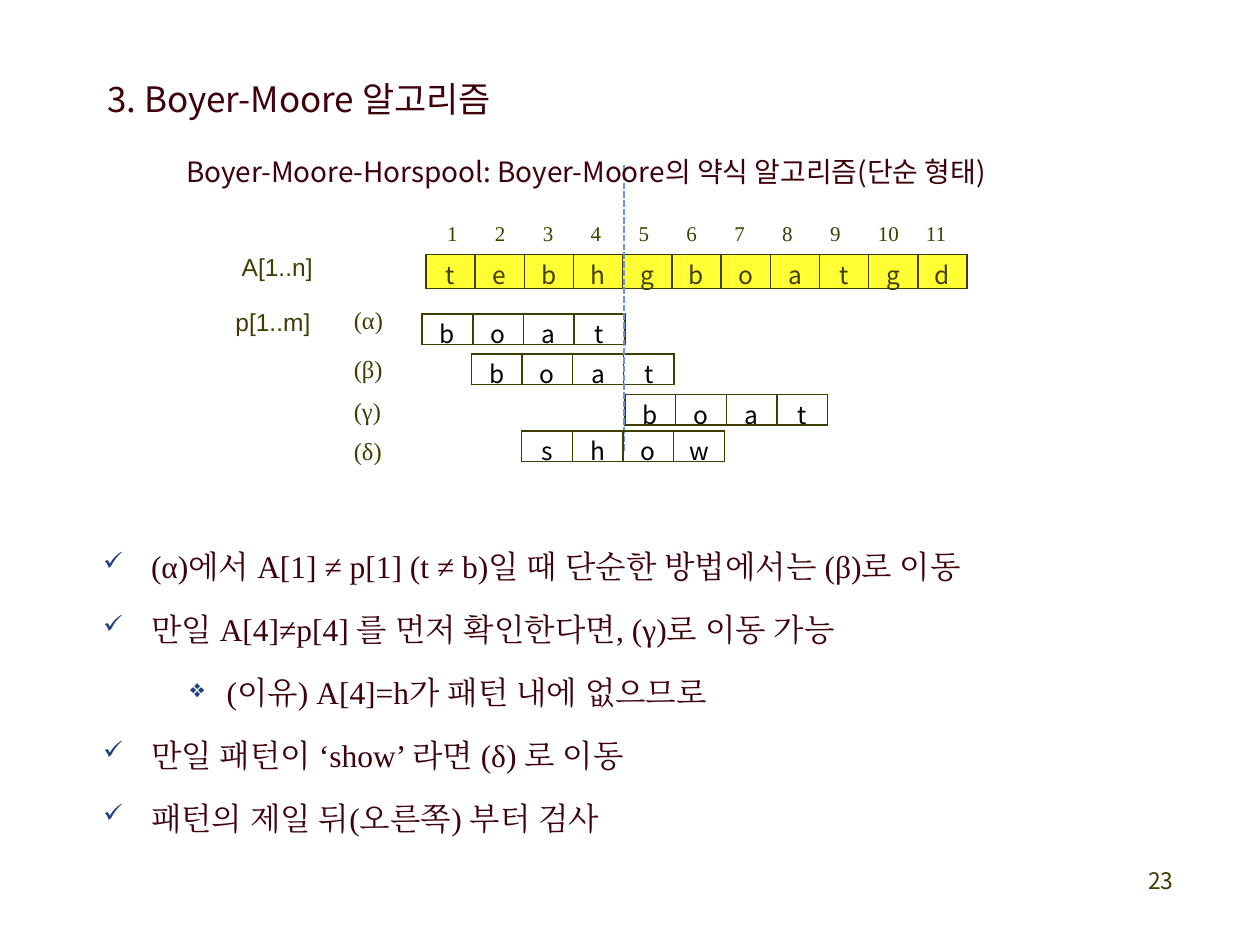
from dataclasses import dataclass

from lxml import etree
from pptx import Presentation
from pptx import util as u
from pptx.dml.color import RGBColor
from pptx.enum import dml, shapes, text
from pptx.oxml import ns


@dataclass(frozen=True)
class Theme:
    wine: str = "3E020C"
    olive: str = "3F3E00"
    black: str = "000000"
    navy: str = "1F407F"
    blue: str = "7094DC"
    yellow: str = "FFFF33"
    sans: str = "Noto Sans CJK KR"
    serif: str = "Times New Roman"
    plain: str = "Arial"
    title: int = 20
    body: int = 18
    lead: int = 16
    label: int = 14
    page: int = 13
    index: int = 12


T = Theme()
POINTS = [
    ("✓", "(α)에서 A[1] ≠ p[1] (t ≠ b)일 때 단순한 방법에서는 (β)로 이동"),
    ("✓", "만일 A[4]≠p[4] 를 먼저 확인한다면, (γ)로 이동 가능"),
    ("❖", "(이유) A[4]=h가 패턴 내에 없으므로"),
    ("✓", "만일 패턴이 ‘show’ 라면 (δ) 로 이동"),
    ("✓", "패턴의 제일 뒤(오른쪽) 부터 검사"),
]
INDENTS = {"✓": (0.38, -0.38), "❖": (0.98, -0.29)}


def add(parent, tag, **attrs):
    node = etree.SubElement(parent, ns.qn(tag))
    for key, value in attrs.items():
        node.set(key, str(value))
    return node


def style(para, size, font, color, align=text.PP_ALIGN.LEFT):
    para.alignment = align
    for run in para.runs:
        run.font.size = u.Pt(size)
        run.font.name = font
        run.font.color.rgb = RGBColor.from_string(color)
        add(run.font._element, "a:ea", typeface=font)


def place(shape, left, top, width, height):
    shape.left, shape.top = u.Inches(left), u.Inches(top)
    shape.width, shape.height = u.Inches(width), u.Inches(height)


def write(shape, words, size, font, color, wrap=False, lines=0.9,
          align=text.PP_ALIGN.LEFT):
    frame = shape.text_frame
    frame.text = words
    frame.word_wrap = wrap
    frame.auto_size = text.MSO_AUTO_SIZE.SHAPE_TO_FIT_TEXT
    frame.vertical_anchor = text.MSO_ANCHOR.TOP
    for para in frame.paragraphs:
        para.line_spacing = lines
        para.space_before = u.Pt(size * 0.2)
        style(para, size, font, color, align)
    return frame


def add_text(slide, box, words, size, font, color, **opts):
    shape = slide.shapes.add_textbox(*map(u.Inches, box))
    return write(shape, words, size, font, color, **opts)


def add_index(slide):
    words = "\t".join(str(n) for n in range(1, 12))
    frame = add_text(slide, (3.45, 1.72, 4.54, 0.28), words,
                     T.index, T.serif, T.olive, wrap=True)
    props = frame.paragraphs[0]._p.get_or_add_pPr()
    tabs = add(props, "a:tabLst")
    for n in range(1, 11):
        add(tabs, "a:tab", pos=u.Inches(0.38 * n), algn="l")


def add_border(cell):
    props = cell._tc.get_or_add_tcPr()
    for n, side in enumerate(("a:lnL", "a:lnR", "a:lnT", "a:lnB")):
        line = etree.Element(ns.qn(side), w=str(u.Pt(1)))
        add(add(line, "a:solidFill"), "a:srgbClr", val=T.olive)
        props.insert(n, line)


def add_word(slide, word, left, top, width, height, color, fill=None):
    frame = slide.shapes.add_table(
        1, len(word), *map(u.Inches, (left, top, width, height)))
    table = frame.table
    table.first_row = table.horz_banding = False
    for col, letter in enumerate(word):
        table.columns[col].width = u.Inches(width / len(word))
        cell = table.cell(0, col)
        cell.text = letter
        cell.vertical_anchor = text.MSO_ANCHOR.MIDDLE
        cell.margin_left = cell.margin_right = u.Inches(0.01)
        cell.margin_top, cell.margin_bottom = u.Inches(0.01), 0
        style(cell.text_frame.paragraphs[0], T.label, T.sans, color,
              text.PP_ALIGN.CENTER)
        if fill:
            cell.fill.solid()
            cell.fill.fore_color.rgb = RGBColor.from_string(fill)
        else:
            cell.fill.background()
        add_border(cell)


def add_shift(slide, mark, word, left, top, base):
    add_word(slide, word, left, top, 1.61, 0.24, T.black)
    add_text(slide, (2.71, base, 0.43, 0.31), mark,
             T.label, T.serif, T.olive)


def add_guide(slide):
    line = slide.shapes.add_connector(
        shapes.MSO_CONNECTOR.STRAIGHT,
        *map(u.Inches, (4.95, 1.31, 4.95, 3.59)))
    line.line.color.rgb = RGBColor.from_string(T.blue)
    line.line.width = u.Pt(1.25)
    line.line.dash_style = dml.MSO_LINE.SQUARE_DOT
    add(line._element.spPr, "a:effectLst")


def add_points(slide):
    words = "\n".join(words for _, words in POINTS)
    frame = add_text(slide, (0.72, 4.14, 8.58, 2.61), words,
                     T.body, T.serif, T.wine, wrap=True, lines=1.5)
    for para, (mark, _) in zip(frame.paragraphs, POINTS):
        left, hang = INDENTS[mark]
        props = para._p.get_or_add_pPr()
        props.set("marL", str(u.Inches(left)))
        props.set("indent", str(u.Inches(hang)))
        add(add(props, "a:buClr"), "a:srgbClr", val=T.navy)
        add(props, "a:buSzPct", val=80000)
        add(props, "a:buChar", char=mark)


def main():
    deck = Presentation()
    deck.slide_width, deck.slide_height = u.Inches(10), u.Inches(7.5)
    slide = deck.slides.add_slide(deck.slide_layouts[5])
    title = slide.shapes.title
    place(title, 0.75, 0.6, 3.39, 0.4)
    write(title, "3. Boyer-Moore 알고리즘", T.title, T.sans, T.wine)
    add_text(slide, (7.33, 6.83, 2.08, 0.5), "23", T.page, T.sans, T.olive,
             wrap=True, lines=1.0, align=text.PP_ALIGN.RIGHT)
    add_text(slide, (1.82, 1.98, 0.77, 0.31), "A[1..n]",
             T.label, T.plain, T.olive)
    add_text(slide, (1.77, 2.41, 0.8, 0.31), "p[1..m]",
             T.label, T.plain, T.olive)
    add_word(slide, "tebhgboatgd", 3.38, 2.02, 4.3, 0.27, T.olive, T.yellow)
    add_points(slide)
    add_shift(slide, "(α)", "boat", 3.35, 2.49, 2.4)
    add_shift(slide, "(β)", "boat", 3.74, 2.81, 2.79)
    add_shift(slide, "(γ)", "boat", 4.96, 3.13, 3.12)
    add_guide(slide)
    add_index(slide)
    add_shift(slide, "(δ)", "show", 4.14, 3.42, 3.44)
    add_text(slide, (1.38, 1.08, 6.85, 0.42),
             "Boyer-Moore-Horspool: Boyer-Moore의 약식 알고리즘(단순 형태)",
             T.lead, T.sans, T.wine, lines=u.Pt(26))
    deck.save("out.pptx")


if __name__ == "__main__":
    main()
